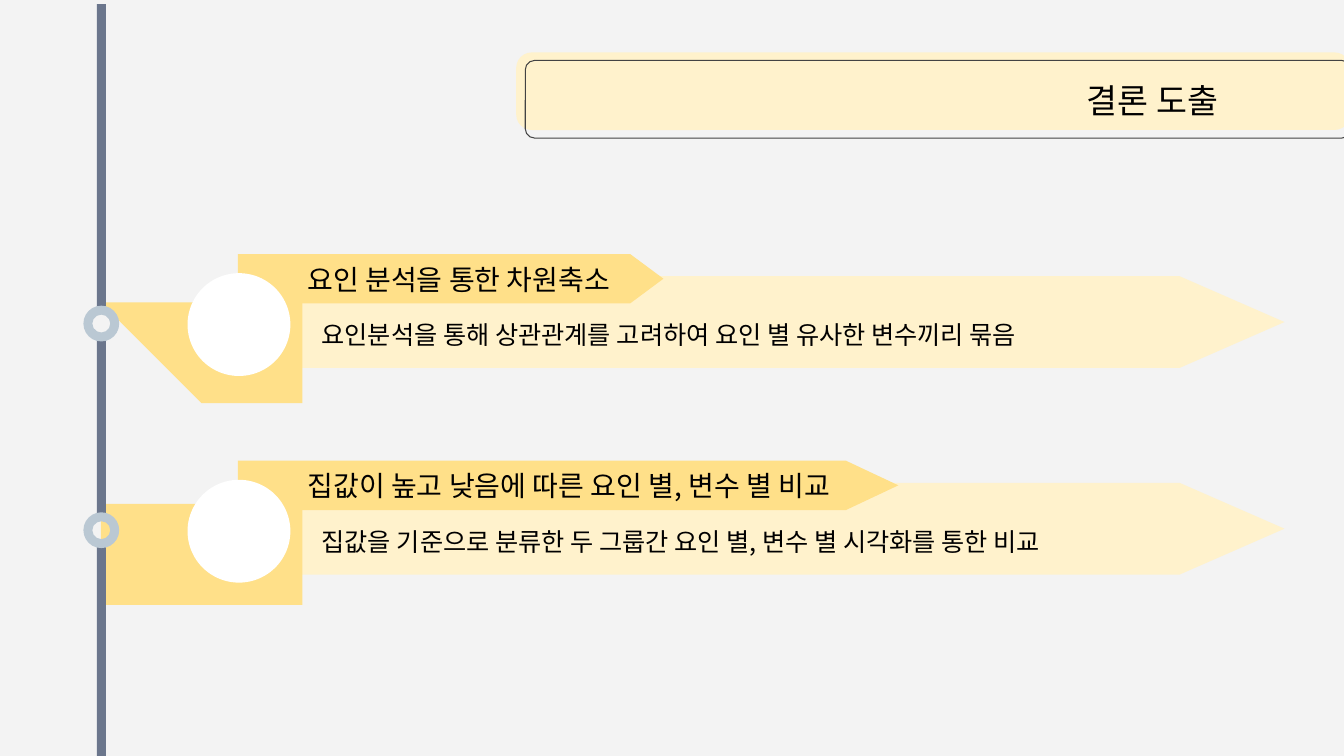
"""Build the conclusion slide with a two-step vertical timeline."""
import lxml.etree
import pptx
import pptx.dml.color
import pptx.enum.shapes
import pptx.enum.text
import pptx.oxml.ns
import pptx.util

Inches = pptx.util.Inches
SHAPE = pptx.enum.shapes.MSO_SHAPE
ANCHOR = pptx.enum.text.MSO_ANCHOR
ALIGN = pptx.enum.text.PP_ALIGN

TITLE = "결론 도출"
STEPS = [
    {"heading": "요인 분석을 통한 차원축소",
     "detail": "요인분석을 통해 상관관계를 고려하여 요인 별 유사한 변수끼리 묶음",
     "heading_width": 3.43, "detail_width": 10.15,
     "tab_width": 4.22, "tab_tip": 0.33, "drop_radius": 0.7},
    {"heading": "집값이 높고 낮음에 따른 요인 별, 변수 별 비교",
     "detail": "집값을 기준으로 분류한 두 그룹간 요인 별, 변수 별 시각화를 통한 비교",
     "heading_width": 6.1, "detail_width": 9.72,
     "tab_width": 6.55, "tab_tip": 0.52, "drop_radius": 0.71},
]
FONT = "Noto Sans CJK KR"
COLORS = {"background": "F3F3F3", "cream": "FFF2CC", "yellow": "FFE089", "white": "FFFFFF",
          "outline": "434343", "rail": "6B768C", "ring": "BAC8D3", "text": "000000"}

FIRST_CENTER, PITCH = 3.21, 2.05
RAIL_X, RAIL_WIDTH, RAIL_TOP, RAIL_BOTTOM = 1.005, 0.09, 0.04, 7.5
RING_SIZE, RING_OVERLAP = 0.355, 0.03
DROP_X, DROP_TIP = 2.36, 1.18
BAND_HEIGHT, BAND_TIP, TAB_HEIGHT = 0.91, 1.04, 0.49
DISC_SIZE = 1.02
CURVE_STEPS = 20


def color(name):
    return pptx.dml.color.RGBColor.from_string(COLORS[name])


def paint(shape, fill=None, line=None):
    shape.shadow.inherit = False
    if fill:
        shape.fill.solid()
        shape.fill.fore_color.rgb = color(fill)
    else:
        shape.fill.background()
    if line:
        shape.line.color.rgb = color(line)
        shape.line.width = pptx.util.Pt(0.75)
    else:
        shape.line.fill.background()


def add_preset(slide, kind, box, fill=None, line=None, adjustment=None):
    shape = slide.shapes.add_shape(kind, *map(Inches, box))
    if adjustment is not None:
        shape.adjustments[0] = adjustment
    paint(shape, fill, line)


def bezier(points):
    for step in range(1, CURVE_STEPS + 1):
        t = step / CURVE_STEPS
        weights = ((1 - t) ** 3, 3 * t * (1 - t) ** 2, 3 * t * t * (1 - t), t ** 3)
        yield tuple(sum(w * point[axis] for w, point in zip(weights, points)) for axis in (0, 1))


def add_drop(slide, center, radius):
    right, bend = DROP_X + radius, 0.55 * radius
    upper = [(right, center)]
    upper += bezier([(right, center), (right, center - bend),
                     (DROP_X + bend, center - radius), (DROP_X, center - radius)])
    upper += bezier([(DROP_X, center - radius), (1.83, center - radius),
                     (1.25, center - 0.09), (DROP_TIP, center)])
    lower = [(x, 2 * center - y) for x, y in reversed(upper[1:-1])]
    builder = slide.shapes.build_freeform(*upper[0], scale=Inches(1))
    builder.add_line_segments(upper[1:] + lower, close=True)
    paint(builder.convert_to_shape(), "yellow")


def write(shape, text, box, size, anchor, align=ALIGN.LEFT, spacing=1.0):
    shape.left, shape.top, shape.width, shape.height = map(Inches, box)
    frame = shape.text_frame
    frame_format = {"word_wrap": True, "auto_size": pptx.enum.text.MSO_AUTO_SIZE.NONE,
                    "vertical_anchor": anchor}
    for side in ("left", "right", "top", "bottom"):
        frame_format[f"margin_{side}"] = Inches(0.13)
    for name, value in frame_format.items():
        setattr(frame, name, value)
    paragraph = frame.paragraphs[0]
    properties = paragraph._p.get_or_add_pPr()
    properties.set("marL", "0")
    properties.set("indent", "0")
    lxml.etree.SubElement(properties, pptx.oxml.ns.qn("a:buNone"))
    paragraph_format = {"alignment": align, "line_spacing": spacing,
                        "space_before": pptx.util.Pt(0)}
    for name, value in paragraph_format.items():
        setattr(paragraph, name, value)
    run = paragraph.add_run()
    run.text = text
    for name, value in {"name": FONT, "size": pptx.util.Pt(size)}.items():
        setattr(run.font, name, value)
    run.font.color.rgb = color("text")
    east_asian = lxml.etree.SubElement(run._r.get_or_add_rPr(), pptx.oxml.ns.qn("a:ea"))
    east_asian.set("typeface", FONT)


def add_step(slide, step, center, detail_shape):
    add_preset(slide, SHAPE.PENTAGON, (2.43, center - 0.47, 10.31, BAND_HEIGHT),
               "cream", adjustment=BAND_TIP / BAND_HEIGHT)
    add_preset(slide, SHAPE.PENTAGON, (DROP_X, center - 0.69, step["tab_width"], TAB_HEIGHT),
               "yellow", adjustment=step["tab_tip"] / TAB_HEIGHT)
    add_drop(slide, center, step["drop_radius"])
    add_preset(slide, SHAPE.OVAL, (1.86, center - 0.5, DISC_SIZE, DISC_SIZE), "white")
    heading_shape = slide.shapes.add_textbox(0, 0, 0, 0)
    write(heading_shape, step["heading"], (2.92, center - 0.72, step["heading_width"], 0.58),
          20, ANCHOR.BOTTOM, spacing=0.9)
    write(detail_shape, step["detail"], (3.06, center - 0.17, step["detail_width"], 0.58),
          18, ANCHOR.TOP)
    slide.shapes._spTree.append(detail_shape._element)


def add_rail(slide, centers):
    reach = RING_SIZE / 2 - RING_OVERLAP
    starts = [RAIL_TOP] + [center + reach for center in centers]
    ends = [center - reach for center in centers] + [RAIL_BOTTOM]
    for start, end in zip(starts, ends):
        add_preset(slide, SHAPE.RECTANGLE,
                   (RAIL_X - RAIL_WIDTH / 2, start, RAIL_WIDTH, end - start), "rail")
    for center in centers:
        add_preset(slide, SHAPE.DONUT,
                   (RAIL_X - RING_SIZE / 2, center - RING_SIZE / 2, RING_SIZE, RING_SIZE),
                   "ring", adjustment=0.25)


def main():
    presentation = pptx.Presentation()
    presentation.slide_width, presentation.slide_height = Inches(13.33), Inches(7.5)
    slide = presentation.slides.add_slide(presentation.slide_layouts[3])
    slide.background.fill.solid()
    slide.background.fill.fore_color.rgb = color("background")
    title_shape, *detail_shapes = slide.placeholders

    add_preset(slide, SHAPE.ROUNDED_RECTANGLE, (5.12, 0.52, 8.27, 0.77),
               "cream", adjustment=0.2)
    add_preset(slide, SHAPE.ROUNDED_RECTANGLE, (5.21, 0.6, 8.19, 0.77),
               line="outline", adjustment=0.12)
    write(title_shape, TITLE, (7.55, 0.67, 4.66, 0.7), 24, ANCHOR.MIDDLE, ALIGN.RIGHT, 0.9)
    slide.shapes._spTree.append(title_shape._element)

    centers = [FIRST_CENTER + PITCH * index for index in range(len(STEPS))]
    for step, center, detail_shape in zip(STEPS, centers, detail_shapes):
        add_step(slide, step, center, detail_shape)
    add_rail(slide, centers)
    presentation.save("out.pptx")


if __name__ == "__main__":
    main()
